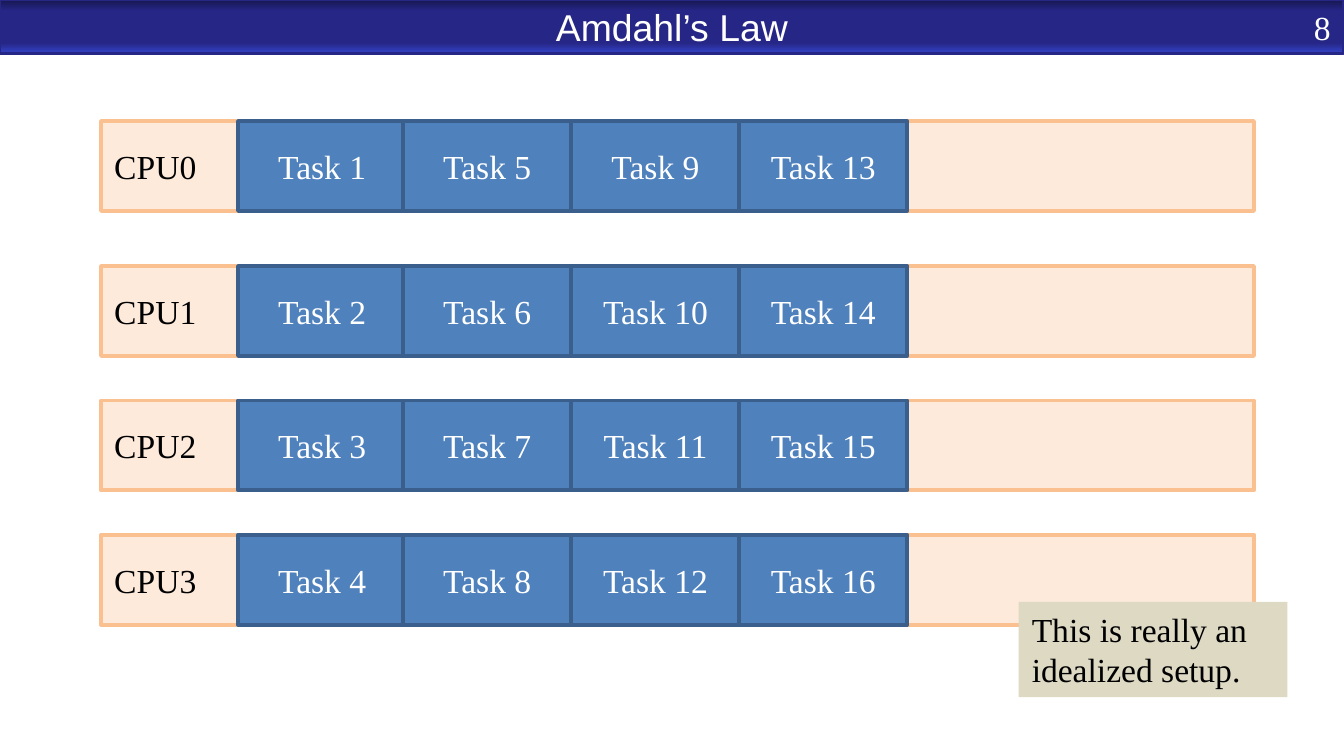
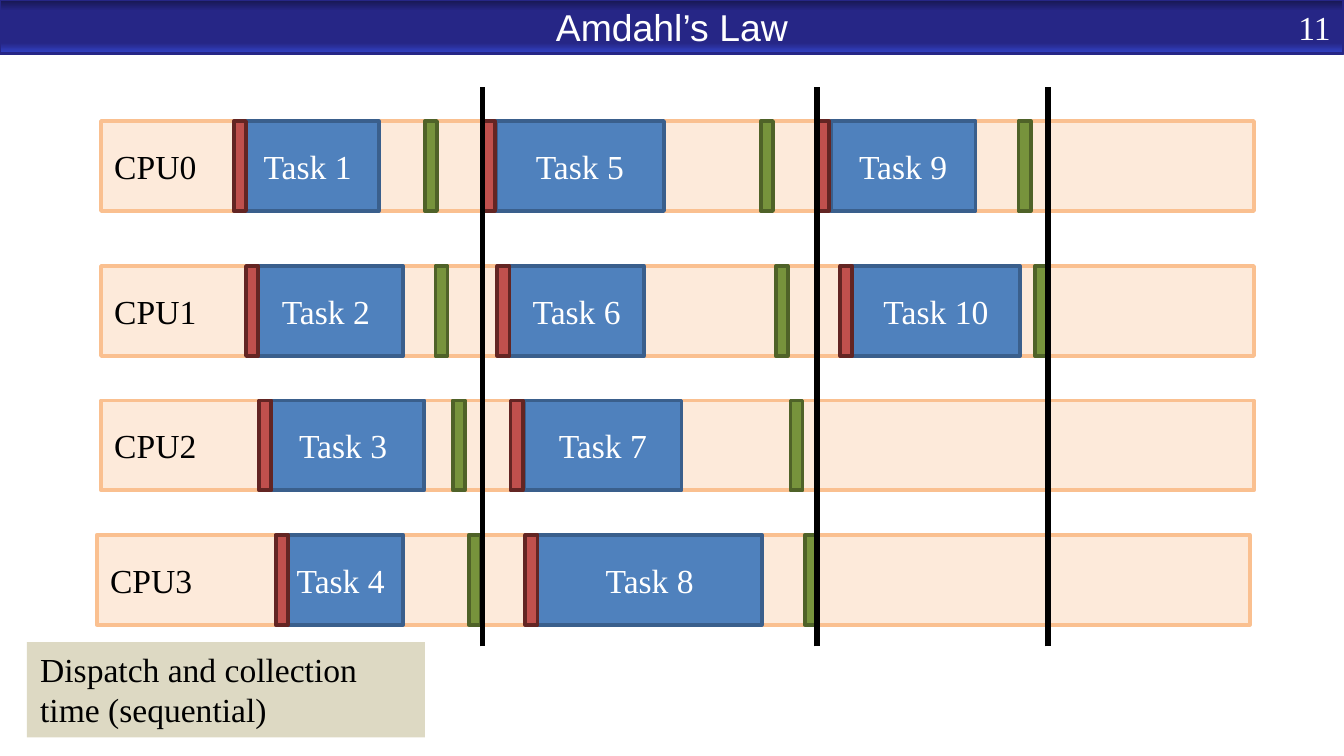
from lxml import etree
from pptx import Presentation
from pptx.dml.color import RGBColor
from pptx.enum import shapes, text
from pptx.oxml import ns
from pptx.util import Cm, Pt

SERIF, SANS = "Times New Roman", "Arial"
WHITE, BLACK = "FFFFFF", "000000"
BAND_EDGE = "262686"
BAND_STOPS = [(0, "171751"), (20, BAND_EDGE), (80, BAND_EDGE), (100, "3345CB")]
CPU = ("FDEADA", "FAC090")
TASK = ("4F81BD", "3A5F8C")
DISPATCH = ("C0504D", "632523")
COLLECT = ("77933C", "4F6228")
NOTE = "DDD9C3"

SLIDE_WIDTH = 25.4
ROW_TOPS = [2.29, 5.03, 7.57, 10.11]
ROW_HEIGHT = 1.7
CPU_LEFT, CPU_WIDTH = 1.91, 21.79
TASK_WIDTH = 3.18
MARK_WIDTH = 0.23

IDEAL_COLUMNS = [4.5, 7.62, 10.8, 13.97]
# dispatch, task left, task width, collection
REAL_TASKS = [
    (4.42, 4.47, 2.69, 8.03),
    (4.65, 4.7, 2.92, 8.23),
    (4.9, 4.95, 3.07, 8.56),
    (5.21, 5.26, 2.36, 8.86),
    (9.12, 9.37, 3.18, 14.38),
    (9.4, 9.63, 2.54, 14.66),
    (9.65, 9.91, 2.97, 14.94),
    (9.93, 10.16, 4.24, 15.21),
    (15.44, 15.7, 2.74, 19.25),
    (15.88, 16.1, 3.18, 19.56),
]
ROUND_ENDS = [9.12, 15.44, 19.81]


def rgb(value):
    return RGBColor.from_string(value)


def write(frame, words, size=18, font=SERIF, color=BLACK,
          align=text.PP_ALIGN.LEFT, anchor=text.MSO_ANCHOR.MIDDLE):
    frame.word_wrap = True
    frame.vertical_anchor = anchor
    paragraph = frame.paragraphs[0]
    paragraph.alignment = align
    run = paragraph.add_run()
    run.text = words
    run.font.size = Pt(size)
    run.font.name = font
    run.font.color.rgb = rgb(color)


class Deck:
    def __init__(self):
        self.prs = Presentation()
        self.prs.slide_width, self.prs.slide_height = Cm(SLIDE_WIDTH), Cm(14.29)
        self.slide = None

    def page(self, title, number):
        self.slide = self.prs.slides.add_slide(self.prs.slide_layouts[6])
        band = self.box(0, 0, SLIDE_WIDTH, 1.02, BAND_EDGE, BAND_EDGE, 1.5)
        self.shade(band)
        write(band.text_frame, title, size=20, font=SANS, color=WHITE,
              align=text.PP_ALIGN.CENTER)
        corner = self.slide.shapes.add_textbox(Cm(22.22), Cm(0.13), Cm(3.18), Cm(0.76))
        write(corner.text_frame, str(number), color=WHITE, align=text.PP_ALIGN.RIGHT)

    def shade(self, band):
        band.fill.gradient()
        band.fill.gradient_angle = 270
        stops = band.element.spPr.find(ns.qn("a:gradFill")).find(ns.qn("a:gsLst"))
        for stop in list(stops):
            stops.remove(stop)
        for percent, color in BAND_STOPS:
            stop = etree.SubElement(stops, ns.qn("a:gs"), pos=str(percent * 1000))
            etree.SubElement(stop, ns.qn("a:srgbClr"), val=color)

    def box(self, left, top, width, height, fill, edge=None, weight=2):
        box = self.slide.shapes.add_shape(
            shapes.MSO_SHAPE.RECTANGLE, Cm(left), Cm(top), Cm(width), Cm(height))
        box.shadow.inherit = False
        box.fill.solid()
        box.fill.fore_color.rgb = rgb(fill)
        if edge:
            box.line.color.rgb = rgb(edge)
            box.line.width = Pt(weight)
        else:
            box.line.fill.background()
        return box

    def cpu(self, row, left=CPU_LEFT):
        lane = self.box(left, ROW_TOPS[row], CPU_WIDTH, ROW_HEIGHT, *CPU)
        write(lane.text_frame, f"CPU{row}")

    def task(self, index, left, width=TASK_WIDTH):
        block = self.box(left, ROW_TOPS[index % 4], width, ROW_HEIGHT, *TASK)
        write(block.text_frame, f"Task {index + 1}", color=WHITE,
              align=text.PP_ALIGN.CENTER)

    def mark(self, index, left, colors):
        self.box(left, ROW_TOPS[index % 4], MARK_WIDTH, ROW_HEIGHT, *colors)

    def barrier(self, x):
        barrier = self.slide.shapes.add_connector(
            shapes.MSO_CONNECTOR.STRAIGHT, Cm(x), Cm(12.22), Cm(x), Cm(1.65))
        barrier.line.color.rgb = rgb(BLACK)
        barrier.line.width = Pt(3)
        etree.SubElement(barrier.element.spPr, ns.qn("a:effectLst"))

    def note(self, words, left, top, width):
        note = self.box(left, top, width, 1.8, NOTE)
        write(note.text_frame, words, anchor=text.MSO_ANCHOR.TOP)


def ideal_setup(deck):
    deck.page("Amdahl’s Law", 8)
    for row in range(4):
        deck.cpu(row)
    for index in range(16):
        deck.task(index, IDEAL_COLUMNS[index // 4])
    deck.note("This is really an idealized setup.", 19.25, 11.38, 5.08)


def real_setup(deck):
    deck.page("Amdahl’s Law", 11)
    for row in range(3):
        deck.cpu(row)
    deck.cpu(3, left=1.83)
    for index, (dispatch, left, width, collect) in enumerate(REAL_TASKS):
        deck.task(index, left, width)
        deck.mark(index, dispatch, DISPATCH)
        deck.mark(index, collect, COLLECT)
    for x in ROUND_ENDS:
        deck.barrier(x)
    deck.note("Dispatch and collection time (sequential)", 0.51, 12.14, 7.52)


def main():
    deck = Deck()
    ideal_setup(deck)
    real_setup(deck)
    deck.prs.save("out.pptx")


if __name__ == "__main__":
    main()
